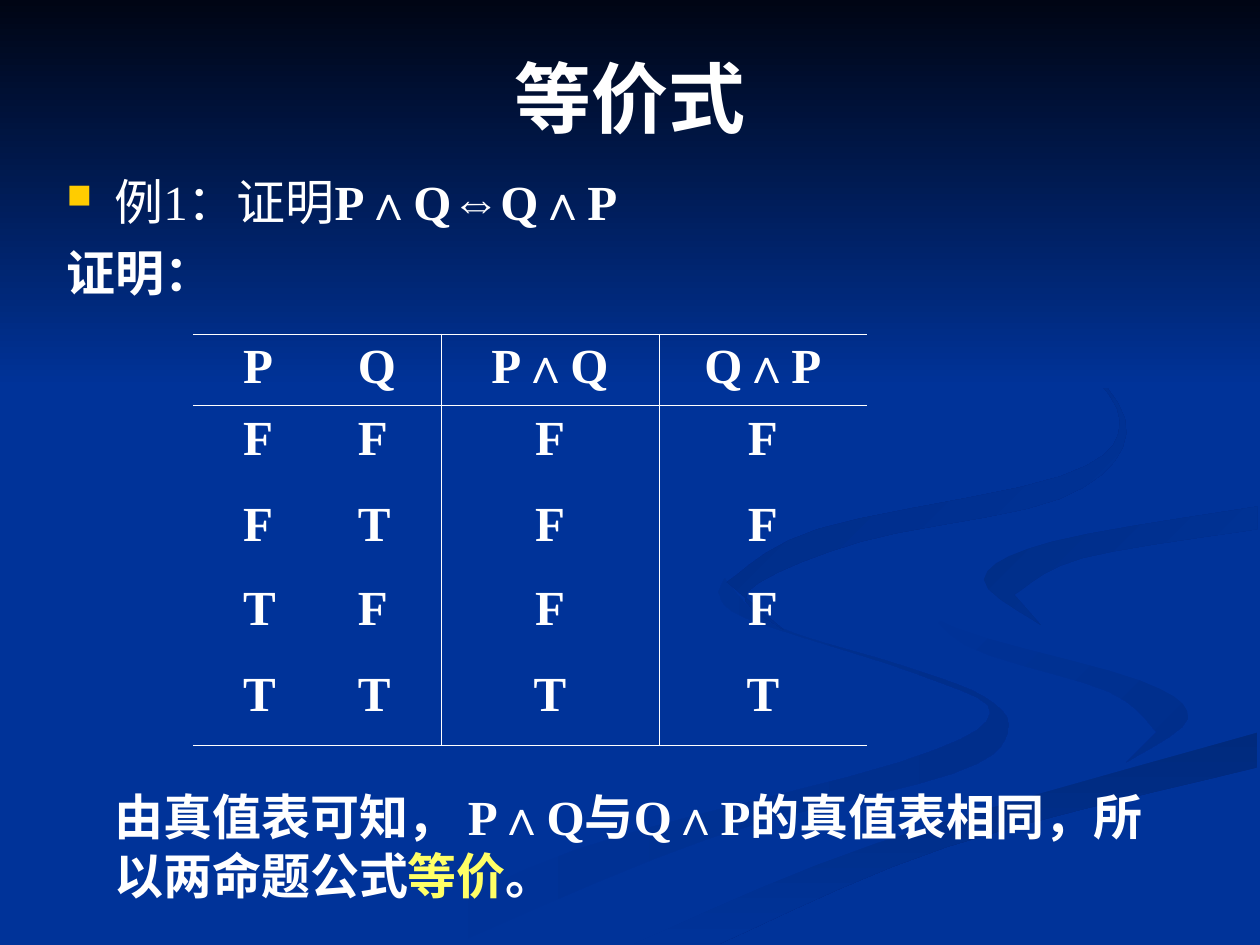
from dataclasses import dataclass
from typing import Optional

from lxml import etree
from pptx import Presentation
from pptx.dml.color import RGBColor
from pptx.enum.shapes import MSO_SHAPE
from pptx.enum.text import MSO_ANCHOR, PP_ALIGN
from pptx.oxml.ns import qn
from pptx.util import Inches, Pt

RECTANGLE = MSO_SHAPE.RECTANGLE
MIDDLE, TOP = MSO_ANCHOR.MIDDLE, MSO_ANCHOR.TOP
LEFT, CENTER = PP_ALIGN.LEFT, PP_ALIGN.CENTER
BLUE, WHITE, YELLOW, GOLD = "003399", "FFFFFF", "FFFF66", "FFCC00"
SERIF, SANS = "Times New Roman", "Arial"
CURVE_STEPS = 5
Point = tuple[float, float]


@dataclass
class Ribbon:
    start: str
    end: str
    angle: int
    edges: list[list[Point]]


@dataclass
class Span:
    text: str
    bold: bool = True
    color: str = WHITE
    font: str = SERIF
    size: int = 28


RIBBONS = [
    Ribbon(BLUE, "002E8B", 0, [
        [(5.75, 4.59), (6.14, 4.96), (7.15, 5.28), (7.81, 5.53), (8, 5.81),
         (7.56, 6.14), (5.64, 6.65), (3.61, 7.49)],
        [(3, 7.49), (4.58, 6.74), (7.14, 6.05), (7.86, 5.66), (7.28, 5.35),
         (5.93, 4.91), (5.7, 4.7)]]),
    Ribbon(BLUE, "002E8B", 45, [
        [(7.24, 4.64), (7.58, 4.98), (9.05, 5.4), (9.43, 5.7), (8.94, 6.05)],
        [(9.18, 5.81), (8.8, 5.49), (7.66, 5.12), (7.24, 4.64)]]),
    Ribbon("002A7D", BLUE, 90, [
        [(5.03, 7.49), (6.96, 6.69), (9.98, 5.81)],
        [(9.98, 6.09), (7.52, 6.72), (5.71, 7.49)]]),
    Ribbon(BLUE, BLUE, 0, [
        [(4.77, 7.49), (6.63, 6.68), (9.02, 6.03), (9.43, 5.7), (9.05, 5.4),
         (7.58, 4.98), (7.25, 4.64), (8.08, 4.17), (9.99, 3.87)],
        [(9.99, 4.02), (8.22, 4.34), (7.84, 4.69), (9.99, 5.38)],
        [(9.99, 5.81), (6.96, 6.69), (5.03, 7.49)]]),
    Ribbon("002D86", BLUE, 45, [
        [(9.98, 4.02), (8.35, 4.3), (7.81, 4.6), (8.26, 4.96)],
        [(8.05, 4.72), (8.59, 4.43), (9.98, 4.2)]]),
    Ribbon("002B82", BLUE, 45, [
        [(7.62, 2.33), (8.54, 2.83), (8.94, 3.44), (8.41, 3.96), (6.83, 4.3),
         (5.93, 4.7), (6.22, 5)],
        [(5.77, 4.62), (6.49, 4.2), (8.42, 3.78), (8.89, 3.35), (8.46, 2.79),
         (7.62, 2.33)]]),
]
TRUTH_TABLE = [
    ("P\tQ", "P∧Q", "Q∧P"),
    ("F\tF", "F", "F"),
    ("F\tT", "F", "F"),
    ("T\tF", "F", "F"),
    ("T\tT", "T", "T"),
]
COLUMN_WIDTHS = [1.97, 1.73, 1.65]
ROW_HEIGHTS = [0.57, 0.68, 0.67, 0.68, 0.67]


def rgb(color: str) -> RGBColor:
    return RGBColor.from_string(color)


def add_child(parent, tag: str, **attrs: str):
    return etree.SubElement(parent, qn(tag), attrs)


def paint(sp, start: str, end: str, angle: int) -> None:
    sp.shadow.inherit = False
    sp.line.fill.background()
    if start == end:
        sp.fill.solid()
        sp.fill.fore_color.rgb = rgb(start)
        return
    sp.fill.gradient()
    sp.fill.gradient_angle = (360 - angle) % 360
    for stop, color in zip(sp.fill.gradient_stops, (start, end)):
        stop.color.rgb = rgb(color)


def smooth(edge: list[Point]) -> list[Point]:
    padded = [edge[0], *edge, edge[-1]]
    curve = []
    for quad in zip(padded, padded[1:], padded[2:], padded[3:]):
        for step in range(CURVE_STEPS):
            t = step / CURVE_STEPS
            curve.append(tuple(
                b + t * (c - a + t * (2 * a - 5 * b + 4 * c - d + t * (3 * b - a - 3 * c + d))) / 2
                for a, b, c, d in zip(*quad)))
    return [*curve, edge[-1]]


def draw_ribbon(s, ribbon: Ribbon) -> None:
    points = [(Inches(x), Inches(y)) for edge in ribbon.edges for x, y in smooth(edge)]
    builder = s.shapes.build_freeform(*points[0])
    builder.add_line_segments(points[1:], close=True)
    paint(builder.convert_to_shape(), ribbon.start, ribbon.end, ribbon.angle)


def write(p, spans: list[Span], align: PP_ALIGN = LEFT) -> None:
    p.alignment = align
    for span in spans:
        r = p.add_run()
        r.text = span.text
        r.font.name, r.font.size, r.font.bold = span.font, Pt(span.size), span.bold
        r.font.color.rgb = rgb(span.color)


def add_text_box(s, left: float, top: float, width: float, height: float, anchor=TOP):
    box = s.shapes.add_textbox(Inches(left), Inches(top), Inches(width), Inches(height))
    tf = box.text_frame
    tf.word_wrap = True
    tf.vertical_anchor = anchor
    return tf


def indent(p, left: float, first: float = 0, bullet: Optional[str] = None) -> None:
    pPr = p._p.get_or_add_pPr()
    pPr.set("marL", str(Inches(left)))
    pPr.set("indent", str(Inches(first)))
    if bullet:
        add_child(add_child(pPr, "a:buClr"), "a:srgbClr", val=GOLD)
        add_child(pPr, "a:buSzPct", val="70000")
        add_child(pPr, "a:buChar", char=bullet)


def set_borders(cell, sides: dict[str, bool]) -> None:
    tcPr = cell._tc.get_or_add_tcPr()
    for side, visible in sides.items():
        ln = add_child(tcPr, f"a:ln{side}", w=str(Pt(0.45)))
        if visible:
            add_child(add_child(ln, "a:solidFill"), "a:srgbClr", val=WHITE)
        else:
            add_child(ln, "a:noFill")


def draw_truth_table(s, left: float, top: float) -> None:
    rows, cols = len(ROW_HEIGHTS), len(COLUMN_WIDTHS)
    table = s.shapes.add_table(rows, cols, Inches(left), Inches(top),
                               Inches(sum(COLUMN_WIDTHS)), Inches(sum(ROW_HEIGHTS))).table
    table.first_row = table.horz_banding = False
    for column, width in zip(table.columns, COLUMN_WIDTHS):
        column.width = Inches(width)
    for row, height in zip(table.rows, ROW_HEIGHTS):
        row.height = Inches(height)
    for i, values in enumerate(TRUTH_TABLE):
        for j, value in enumerate(values):
            cell = table.cell(i, j)
            set_borders(cell, {"L": j > 0, "R": j < cols - 1,
                               "T": i < 2, "B": i in (0, rows - 1)})
            cell.fill.background()
            p = cell.text_frame.paragraphs[0]
            if j == 0:
                cell.margin_left = Inches(0.4)
                tabs = add_child(p._p.get_or_add_pPr(), "a:tabLst")
                add_child(tabs, "a:tab", pos=str(Inches(0.91)), algn="l")
            write(p, [Span(value)], CENTER if j else LEFT)


def main() -> None:
    prs = Presentation()
    prs.slide_width, prs.slide_height = Inches(10), Inches(7.5)
    s = prs.slides.add_slide(prs.slide_layouts[6])
    s.background.fill.solid()
    s.background.fill.fore_color.rgb = rgb(BLUE)
    for ribbon in RIBBONS:
        draw_ribbon(s, ribbon)
    sky = s.shapes.add_shape(RECTANGLE, 0, 0, prs.slide_width, Inches(3.08))
    paint(sky, "000514", BLUE, 90)

    title = add_text_box(s, 0.5, 0.3, 9, 0.93, MIDDLE)
    write(title.paragraphs[0], [Span("等价式", size=44)], CENTER)
    body = add_text_box(s, 0.43, 1.31, 8.6, 1.13)
    p = body.paragraphs[0]
    indent(p, 0.38, -0.38, "■")
    write(p, [Span("例1：证明", bold=False), Span("P∧Q"), Span("⇔", font=SANS), Span("Q∧P")])
    p = body.add_paragraph()
    p.space_before = Pt(7)
    write(p, [Span("证明：")])
    draw_truth_table(s, 1.53, 2.65)
    p = add_text_box(s, 0.43, 6.19, 9.06, 0.99).paragraphs[0]
    indent(p, 0.38)
    write(p, [Span("由真值表可知， P∧Q与Q∧P的真值表相同，所以两命题公式"),
              Span("等价", color=YELLOW), Span("。")])
    prs.save("out.pptx")


if __name__ == "__main__":
    main()
